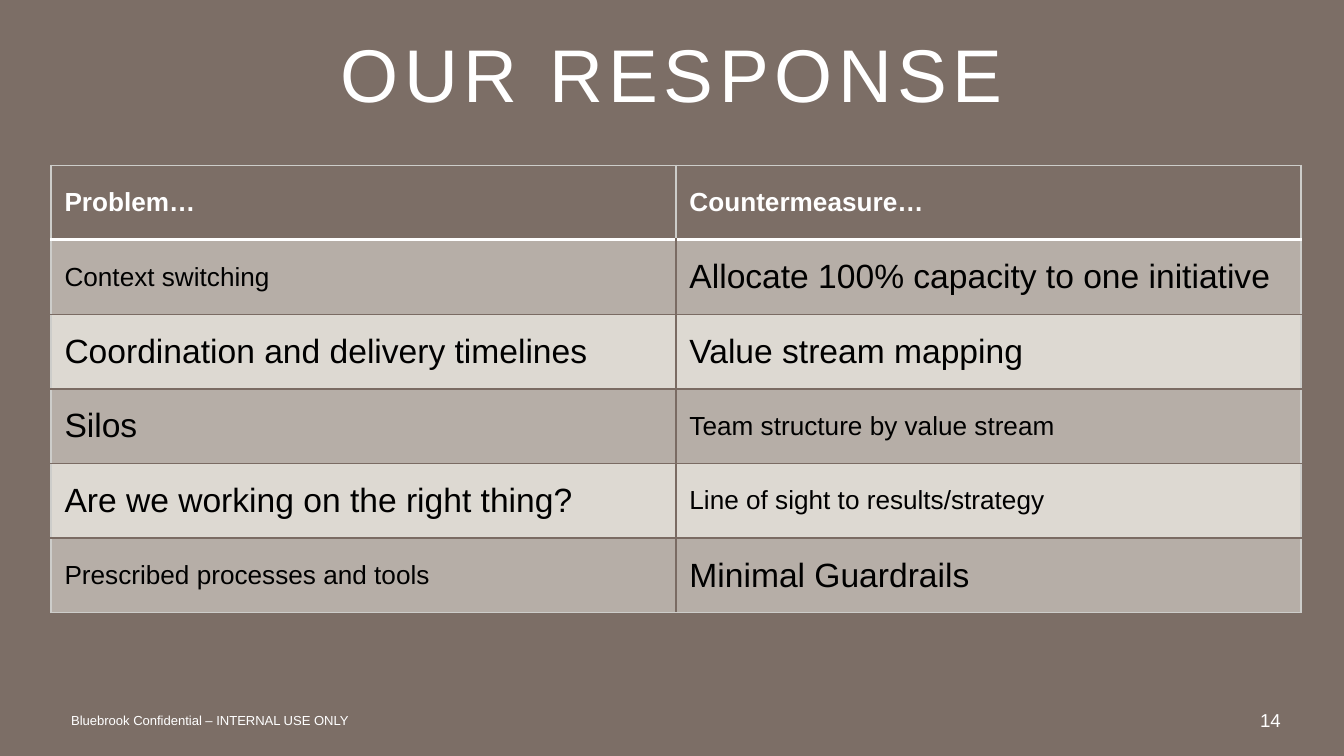
import lxml.etree
import pptx
import pptx.dml.color
import pptx.enum.text
import pptx.oxml.ns
import pptx.util

Inches = pptx.util.Inches
Pt = pptx.util.Pt
ALIGN = pptx.enum.text.PP_ALIGN
ANCHOR = pptx.enum.text.MSO_ANCHOR

BROWN, WHITE, BLACK = "7C6E66", "FFFFFF", "000000"
BAND_DARK, BAND_LIGHT = "B6AEA7", "DDD9D2"
OUTER, INNER, HEADER_RULE = ("CDCDCA", 1), ("7A6B63", 0.75), (WHITE, 2)


def color(value):
    return pptx.dml.color.RGBColor.from_string(value)


def write(frame, text, size, fill=WHITE, bold=False, align=ALIGN.LEFT,
          line_spacing=None, tracking=None):
    """Fill a text frame with one formatted run; tracking is in points."""
    para = frame.paragraphs[0]
    para.alignment = align
    para.line_spacing = line_spacing
    span = para.add_run()
    span.text = text
    span.font.name = "Arial"
    span.font.size = Pt(size)
    span.font.bold = bold
    span.font.color.rgb = color(fill)
    if tracking:
        span.font._element.set("spc", str(tracking * 100))


deck = pptx.Presentation()
deck.slide_width = Inches(10)
deck.slide_height = deck.slide_width * 9 // 16
page = deck.slides.add_slide(deck.slide_layouts[6])
page.background.fill.solid()
page.background.fill.fore_color.rgb = color(BROWN)

# Title and footer
labels = [
    ("OUR RESPONSE", (0, 0.36, 10, 0.52), ANCHOR.BOTTOM,
     dict(size=40, align=ALIGN.CENTER, line_spacing=0.9, tracking=3)),
    ("Bluebrook Confidential – INTERNAL USE ONLY", (0.53, 5.21, 3.17, 0.3),
     ANCHOR.MIDDLE, dict(size=7)),
    ("14", (7.2, 5.21, 2.33, 0.3), ANCHOR.MIDDLE,
     dict(size=10, align=ALIGN.RIGHT)),
]
for text, place, anchor, style in labels:
    box = page.shapes.add_textbox(*map(Inches, place))
    frame = box.text_frame
    frame.word_wrap = True
    frame.vertical_anchor = anchor
    frame.margin_left = frame.margin_right = 0
    frame.margin_top = frame.margin_bottom = 0
    write(frame, text, **style)

# Problems and countermeasures, each with its text size
rows = [
    [("Problem…", 14), ("Countermeasure…", 14)],
    [("Context switching", 14), ("Allocate 100% capacity to one initiative", 18)],
    [("Coordination and delivery timelines", 18), ("Value stream mapping", 18)],
    [("Silos", 18), ("Team structure by value stream", 14)],
    [("Are we working on the right thing?", 18),
     ("Line of sight to results/strategy", 14)],
    [("Prescribed processes and tools", 14), ("Minimal Guardrails", 18)],
]
last = len(rows) - 1
table = page.shapes.add_table(len(rows), 2, Inches(0.38), Inches(1.23),
                              Inches(9.3), Inches(3.33)).table

for r, row in enumerate(rows):
    header = r == 0
    for c, (text, size) in enumerate(row):
        cell = table.cell(r, c)
        cell.vertical_anchor = ANCHOR.MIDDLE
        write(cell.text_frame, text, size, bold=header,
              fill=WHITE if header else BLACK)

        borders = {
            "lnL": OUTER if header or c == 0 else INNER,
            "lnR": OUTER if header or c == 1 else INNER,
            "lnT": OUTER if header else HEADER_RULE if r == 1 else INNER,
            "lnB": HEADER_RULE if header else OUTER if r == last else INNER,
        }
        properties = cell._tc.get_or_add_tcPr()
        for side, (line_color, width) in borders.items():
            line = lxml.etree.SubElement(
                properties, pptx.oxml.ns.qn(f"a:{side}"), w=str(Pt(width)))
            solid = lxml.etree.SubElement(line, pptx.oxml.ns.qn("a:solidFill"))
            lxml.etree.SubElement(
                solid, pptx.oxml.ns.qn("a:srgbClr"), val=line_color)

        cell.fill.solid()
        cell.fill.fore_color.rgb = color(
            BROWN if header else BAND_DARK if r % 2 else BAND_LIGHT)

deck.save("out.pptx")
